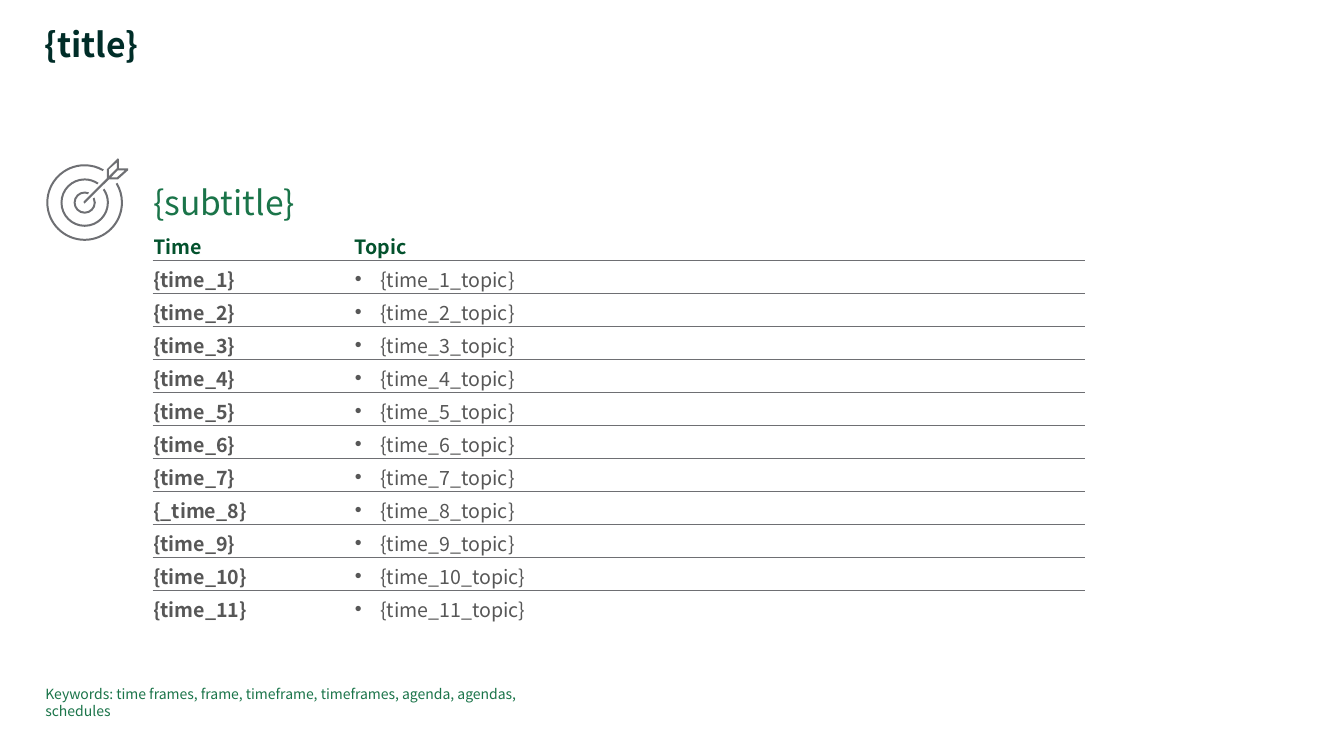
import math
from dataclasses import dataclass

from lxml import etree
from pptx import Presentation
from pptx.dml.color import RGBColor
from pptx.enum.text import MSO_ANCHOR, MSO_AUTO_SIZE, PP_ALIGN
from pptx.oxml.ns import qn
from pptx.util import Inches, Pt

FONT = "Noto Sans CJK JP"
DARK_GREEN = RGBColor(0x00, 0x2D, 0x28)
HEADER_GREEN = RGBColor(0x03, 0x52, 0x2D)
GREEN = RGBColor(0x1A, 0x74, 0x49)
TEXT_GRAY = RGBColor(0x57, 0x57, 0x57)
LINE_GRAY = RGBColor(0x6E, 0x6F, 0x73)
WHITE = RGBColor(0xFF, 0xFF, 0xFF)
TOP, LEFT = MSO_ANCHOR.TOP, PP_ALIGN.LEFT
NO_AUTOFIT = MSO_AUTO_SIZE.NONE

Point = tuple[float, float]


@dataclass
class TextStyle:
    size: float
    color: RGBColor
    bold: bool = False


@dataclass
class Ring:
    """Open ring of the target; the gap lies between two angles in degrees."""
    radius: float
    gap_start: float
    gap_end: float


@dataclass
class AgendaRow:
    time: str
    topic: str


TARGET_CENTER = (0.84, 2.01)
RING_WIDTH = 0.02
RINGS = [Ring(0.38, -60, -31), Ring(0.24, -55, -35), Ring(0.11, -68, -27)]
ARROW: list[list[Point]] = [
    [(1.27, 1.67), (1.18, 1.67), (1.18, 1.58), (1.17, 1.57), (1.16, 1.58),
     (1.07, 1.67), (1.06, 1.68), (1.06, 1.77), (0.83, 2.0), (0.83, 2.01),
     (0.84, 2.02), (0.85, 2.01), (1.08, 1.78), (1.17, 1.78), (1.27, 1.69)],
    [(1.08, 1.68), (1.16, 1.61), (1.16, 1.67), (1.08, 1.75)],
    [(1.16, 1.76), (1.1, 1.76), (1.17, 1.69), (1.24, 1.69)],
]

HEADER = AgendaRow("Time", "Topic")
AGENDA = [AgendaRow("{_time_8}" if n == 8 else f"{{time_{n}}}", f"{{time_{n}_topic}}")
          for n in range(1, 12)]
COLUMN_WIDTHS = (1.83, 7.41)
TABLE_HEIGHT = 3.93


def write(frame, text: str, style: TextStyle) -> None:
    frame.text = text
    frame.word_wrap = True
    paragraph = frame.paragraphs[0]
    paragraph.alignment = LEFT
    paragraph.space_before = Pt(0)
    font = paragraph.runs[0].font
    font.name, font.size, font.bold = FONT, Pt(style.size), style.bold
    font.color.rgb = style.color


def write_box(shape, text: str, style: TextStyle) -> None:
    frame = shape.text_frame
    frame.margin_left = frame.margin_right = frame.margin_top = frame.margin_bottom = 0
    frame.vertical_anchor = TOP
    frame.auto_size = NO_AUTOFIT
    write(frame, text, style)


def draw_outline(shapes, contours: list[list[Point]]):
    scaled = [[(Inches(x), Inches(y)) for x, y in contour] for contour in contours]
    builder = shapes.build_freeform(*scaled[0][0])
    builder.add_line_segments(scaled[0][1:], close=True)
    for contour in scaled[1:]:
        builder.move_to(*contour[0])
        builder.add_line_segments(contour[1:], close=True)
    outline = builder.convert_to_shape()
    outline.shadow.inherit = False
    outline.fill.solid()
    outline.fill.fore_color.rgb = LINE_GRAY
    outline.line.fill.background()
    return outline


def on_circle(angle: float, radius: float, lead: float = 0) -> Point:
    """Point on a target circle, moved along the tangent by lead radii."""
    cos, sin = math.cos(angle), math.sin(angle)
    return (TARGET_CENTER[0] + radius * (cos - lead * sin),
            TARGET_CENTER[1] + radius * (sin + lead * cos))


def draw_ring(shapes, ring: Ring) -> None:
    angles = [math.radians(a) for a in (ring.gap_end, 0, 90, 180, 270, 360 + ring.gap_start)]
    inner = ring.radius - RING_WIDTH
    nodes = [(a, ring.radius) for a in angles] + [(a, inner) for a in reversed(angles)]
    outline = draw_outline(shapes, [[on_circle(*node) for node in nodes]])
    # Bend the straight sides along each circle into cubic curves
    sides = list(outline._element.iter(qn("a:lnTo")))
    for side, (start, radius), (end, end_radius) in zip(sides, nodes, nodes[1:]):
        if radius != end_radius:
            continue
        lead = 4 / 3 * math.tan((end - start) / 4)
        curve = etree.Element(qn("a:cubicBezTo"))
        for x, y in (on_circle(start, radius, lead), on_circle(end, radius, -lead),
                     on_circle(end, radius)):
            etree.SubElement(curve, qn("a:pt"), x=str(Inches(x) - outline.left),
                             y=str(Inches(y) - outline.top))
        side.getparent().replace(side, curve)


def set_border(cell, side: str, color: RGBColor | None, width: float) -> None:
    border = etree.SubElement(cell._tc.get_or_add_tcPr(), qn(f"a:{side}"), w=str(Pt(width)))
    if color is None:
        etree.SubElement(border, qn("a:noFill"))
    else:
        fill = etree.SubElement(border, qn("a:solidFill"))
        etree.SubElement(fill, qn("a:srgbClr"), val=str(color))


def add_bullet(paragraph, color: RGBColor) -> None:
    properties = paragraph._p.get_or_add_pPr()
    properties.set("marL", str(Inches(0.25)))
    properties.set("indent", str(-Inches(0.25)))
    bullet_color = etree.SubElement(properties, qn("a:buClr"))
    etree.SubElement(bullet_color, qn("a:srgbClr"), val=str(color))
    etree.SubElement(properties, qn("a:buFont"), typeface="Arial")
    etree.SubElement(properties, qn("a:buChar"), char="•")


def fill_cell(cell, text: str, style: TextStyle, left: float, first: bool, last: bool) -> None:
    cell.margin_left, cell.margin_right = Inches(left), 0
    cell.margin_top, cell.margin_bottom = Inches(0.05 if first else 0.04), 0
    cell.vertical_anchor = TOP
    write(cell.text_frame, text, style)
    set_border(cell, "lnL", WHITE, 1)
    set_border(cell, "lnR", WHITE, 1)
    set_border(cell, "lnT", WHITE if first else LINE_GRAY, 1 if first else 0.5)
    set_border(cell, "lnB", None if last else LINE_GRAY, 0.5)
    cell.fill.background()


def draw_agenda(slide) -> None:
    rows = [HEADER, *AGENDA]
    agenda = slide.shapes.add_table(len(rows), len(COLUMN_WIDTHS), Inches(1.52), Inches(2.25),
                                    Inches(sum(COLUMN_WIDTHS)), Inches(TABLE_HEIGHT)).table
    agenda.first_row = agenda.horz_banding = False
    for column, width in zip(agenda.columns, COLUMN_WIDTHS):
        column.width = Inches(width)
    for index, row in enumerate(rows):
        first, last = index == 0, index == len(rows) - 1
        color = HEADER_GREEN if first else TEXT_GRAY
        time, topic = agenda.cell(index, 0), agenda.cell(index, 1)
        fill_cell(time, row.time, TextStyle(14, color, True), 0, first, last)
        fill_cell(topic, row.topic, TextStyle(14, color, first), 0.17, first, last)
        if not first:
            add_bullet(topic.text_frame.paragraphs[0], TEXT_GRAY)


def main() -> None:
    deck = Presentation()
    deck.slide_width, deck.slide_height = Inches(13.33), Inches(7.5)
    slide = deck.slides.add_slide(deck.slide_layouts[5])

    # Title
    title = slide.shapes.title
    title.left, title.top = Inches(0.44), Inches(0.28)
    title.width, title.height = Inches(11.03), Inches(0.37)
    write_box(title, "{title}", TextStyle(24, DARK_GREEN, True))
    title.text_frame.paragraphs[0].line_spacing = 0.9

    # Target icon
    target = slide.shapes.add_group_shape()
    for ring in RINGS:
        draw_ring(target.shapes, ring)
    draw_outline(target.shapes, ARROW)

    # Subtitle and keywords
    subtitle = slide.shapes.add_textbox(Inches(1.52), Inches(1.8), Inches(9.52), Inches(0.4))
    write_box(subtitle, "{subtitle}", TextStyle(24, GREEN))
    keywords = slide.shapes.add_textbox(Inches(0.45), Inches(6.8), Inches(5.14), Inches(0.17))
    write_box(keywords, "Keywords: time frames, frame, timeframe, timeframes, agenda, "
              "agendas, schedules", TextStyle(10, GREEN))

    # Agenda table
    draw_agenda(slide)
    deck.save("out.pptx")


if __name__ == "__main__":
    main()
